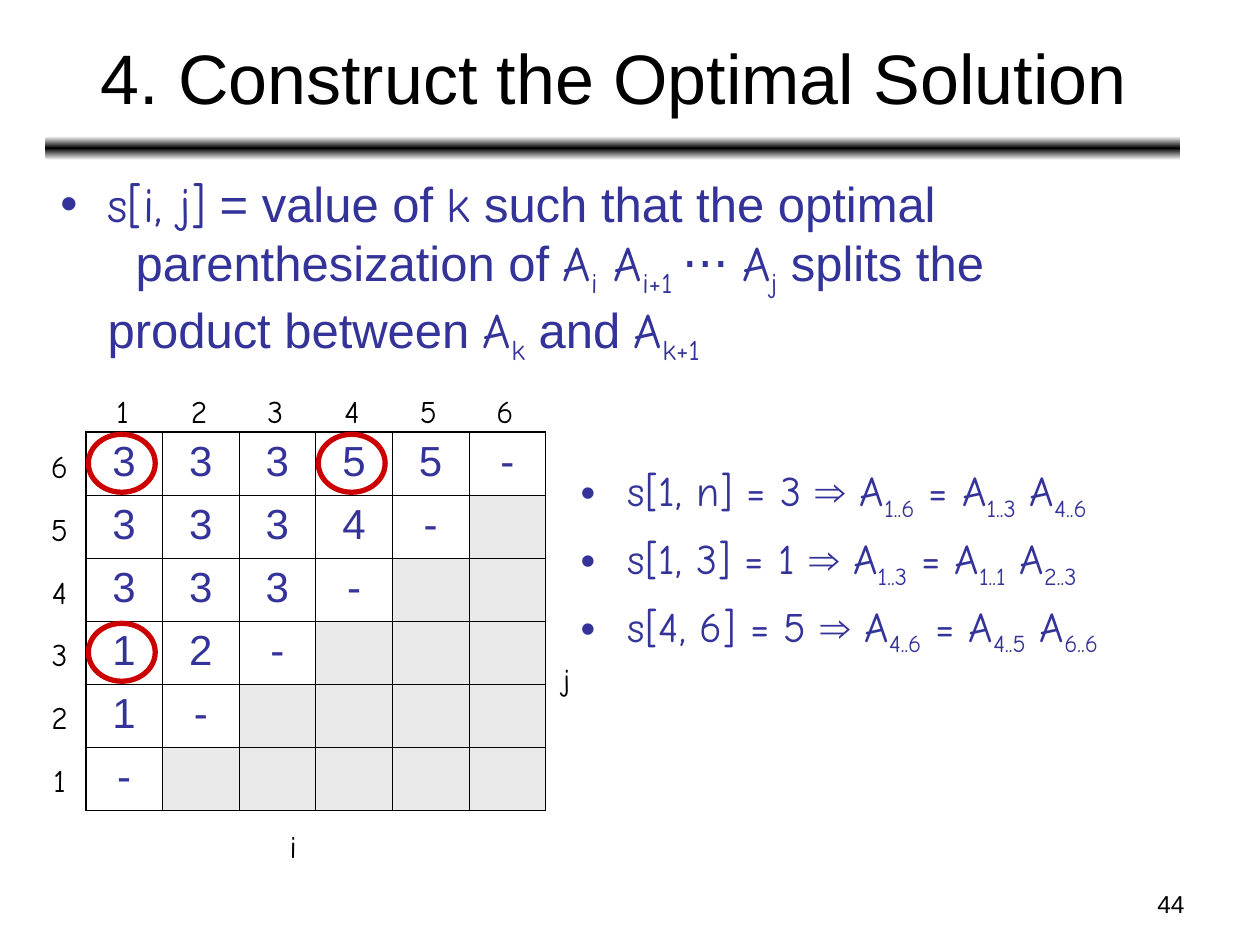
"""Build the slide on constructing the optimal matrix-chain solution."""
from copy import deepcopy

from lxml.etree import SubElement
from pptx import Presentation
from pptx.dml.color import RGBColor
from pptx.enum.shapes import MSO_SHAPE as SHAPE
from pptx.enum.text import MSO_ANCHOR as ANCHOR, PP_ALIGN as ALIGN
from pptx.oxml.ns import qn
from pptx.util import Pt

SANS, HAND = "Arial", "Comic Neue"
BLACK, BLUE, RED, GRAY = "000000", "333399", "CC0000", "EAEAEA"
SPLITS = ["3 3 3 5 5 -", "3 3 3 4 -", "3 3 3 -", "1 2 -", "1 -", "-"]
LEFT, TOP, COL, ROW = 49, 247, 43.8, 36


def rgb(color):
    """Turn a hex string into a colour."""
    return RGBColor.from_string(color)


def add_run(p, text, font=SANS, size=18, color=BLACK, sub=False):
    """Add a formatted run to a paragraph."""
    r = p.add_run()
    r.text = text
    r.font.name = font
    r.font.size = Pt(size)
    r.font.color.rgb = rgb(color)
    if sub:
        r.font._element.set("baseline", "-25000")


def add_box(s, x, y, w, h, wrap=True, anchor=ANCHOR.TOP):
    """Add an empty text box and return its text frame."""
    tf = s.shapes.add_textbox(Pt(x), Pt(y), Pt(w), Pt(h)).text_frame
    tf.word_wrap = wrap
    tf.vertical_anchor = anchor
    return tf


def add_label(s, text, x, y, w, h, align=ALIGN.CENTER, wrap=False, **fmt):
    """Add a text box with a single line of text."""
    p = add_box(s, x, y, w, h, wrap, ANCHOR.MIDDLE).paragraphs[0]
    p.alignment = align
    add_run(p, text, **fmt)


def set_bullet(p, tab=None):
    """Give a paragraph a hanging blue bullet and an optional tab stop."""
    pPr = p._p.get_or_add_pPr()
    pPr.set("marL", str(Pt(27)))
    pPr.set("indent", str(Pt(-27)))
    color = SubElement(pPr, qn("a:buClr"))
    SubElement(color, qn("a:srgbClr"), val=BLUE)
    SubElement(pPr, qn("a:buFont"), typeface=SANS)
    SubElement(pPr, qn("a:buChar"), char="•")
    if tab:
        tabs = SubElement(pPr, qn("a:tabLst"))
        SubElement(tabs, qn("a:tab"), pos=str(Pt(tab)), algn="l")


def add_matrix(p, index, size):
    """Add the matrix symbol A with its subscript."""
    add_run(p, "A", font=HAND, size=size, color=BLUE)
    add_run(p, index, font=HAND, size=size, color=BLUE, sub=True)


def add_definition(s):
    """Add the definition of s[i, j]."""
    p = add_box(s, 27.4, 95.8, 648, 118.8).paragraphs[0]
    set_bullet(p, tab=43)
    fmt = {"size": 28, "color": BLUE}
    add_run(p, "s[i, j]", font=HAND, **fmt)
    add_run(p, " = value of ", **fmt)
    add_run(p, "k", font=HAND, **fmt)
    add_run(p, " such that the optimal", **fmt)
    p.add_line_break()
    add_run(p, "\tparenthesization of ", **fmt)
    add_matrix(p, "i", 28)
    add_run(p, " ", font=HAND, **fmt)
    add_matrix(p, "i+1 ", 28)
    add_run(p, "⋅⋅⋅ ", **fmt)
    add_matrix(p, "j", 28)
    add_run(p, " splits the", **fmt)
    p.add_line_break()
    add_run(p, "product between ", **fmt)
    add_matrix(p, "k", 28)
    add_run(p, " and ", **fmt)
    add_matrix(p, "k+1", 28)


def add_steps(s):
    """Add the bulleted steps that trace the splits."""
    tf = add_box(s, 324.7, 262, 370.8, 170.6)
    steps = [("s[1, n] = 3 ", "1..6", "1..3", "4..6"),
             ("s[1, 3] = 1 ", "1..3", "1..1", "2..3"),
             ("s[4, 6] = 5 ", "4..6", "4..5", "6..6")]
    fmt = {"size": 24, "color": BLUE}
    for i, (split, whole, left, right) in enumerate(steps):
        p = tf.add_paragraph() if i else tf.paragraphs[0]
        set_bullet(p)
        if i:
            p.space_before = Pt(6)
        add_run(p, split, font=HAND, **fmt)
        add_run(p, "⇒", **fmt)
        for gap, index in ((" ", whole), (" = ", left), (" ", right)):
            add_run(p, gap, font=HAND, **fmt)
            add_matrix(p, index, 24)


def set_borders(cell, widths):
    """Draw black cell borders from a mapping of side to width."""
    tcPr = cell._tc.get_or_add_tcPr()
    for i, (side, width) in enumerate(widths.items()):
        ln = SubElement(tcPr, qn(f"a:ln{side}"), w=str(Pt(width)))
        fill = SubElement(ln, qn("a:solidFill"))
        SubElement(fill, qn("a:srgbClr"), val=BLACK)
        tcPr.remove(ln)
        tcPr.insert(i, ln)


def add_split_table(s):
    """Add the table of split positions."""
    n = len(SPLITS)
    table = s.shapes.add_table(n, n, Pt(LEFT), Pt(TOP), Pt(n * COL), Pt(n * ROW)).table
    table.first_row = table.horz_banding = False
    for i, line in enumerate(SPLITS):
        table.columns[i].width = Pt(COL)
        table.rows[i].height = Pt(ROW)
        values = line.split()
        for j in range(n):
            cell = table.cell(i, j)
            cell.fill.solid()
            cell.fill.fore_color.rgb = rgb("FFFFFF" if j < len(values) else GRAY)
            edges = {"L": j == 0, "R": j == n - 1, "T": i == 0, "B": i == n - 1}
            set_borders(cell, {k: 1.08 if outer else 0.45 for k, outer in edges.items()})
            if j < len(values):
                p = cell.text_frame.paragraphs[0]
                p.alignment = ALIGN.CENTER
                add_run(p, values[j], size=24, color=BLUE)


def add_axes(s):
    """Number the columns and rows and name the two indices."""
    for i in range(6):
        add_label(s, str(i + 1), 58 + 43.7 * i, 220.3, 24, 29, font=HAND)
        add_label(s, str(6 - i), 22, 252 + 35.8 * i, 24, 29, font=HAND)
    add_label(s, "i", 158.4, 468.7, 18, 29, font=HAND)
    add_label(s, "j", 314.6, 373.7, 18, 29, font=HAND)


def add_ring(s, row, col):
    """Circle one table cell in red."""
    x, y = LEFT + col * COL + 1.5, TOP + row * ROW + 1.2
    sp = s.shapes.add_shape(SHAPE.OVAL, Pt(x), Pt(y), Pt(38.2), Pt(33.1))
    sp.shadow.inherit = False
    sp.fill.background()
    sp.line.color.rgb = rgb(RED)
    sp.line.width = Pt(3)


def add_rule(s):
    """Add the shaded bar under the title."""
    sp = s.shapes.add_shape(SHAPE.ROUNDED_RECTANGLE, Pt(26), Pt(77.8), Pt(648.7), Pt(13.7))
    sp.shadow.inherit = False
    sp.line.fill.background()
    sp.fill.gradient()
    sp.fill.gradient_angle = 90
    stops = sp._element.spPr.find(qn("a:gradFill")).find(qn("a:gsLst"))
    stops.append(deepcopy(stops[0]))
    for stop, color, position in zip(sp.fill.gradient_stops, ("FFFFFF", BLACK, "FFFFFF"), (0, 0.5, 1)):
        stop.color.rgb = rgb(color)
        stop.position = position


def main():
    """Build and save the slide."""
    prs = Presentation()
    prs.slide_width, prs.slide_height = Pt(720), Pt(540)
    s = prs.slides.add_slide(prs.slide_layouts[6])
    add_rule(s)
    add_label(s, "44", 516.2, 504, 167.8, 25.2, align=ALIGN.RIGHT, wrap=True, size=14)
    add_label(s, "4. Construct the Optimal Solution", 26.6, 7.9, 648, 71.3, wrap=True, size=40)
    add_definition(s)
    add_split_table(s)
    add_axes(s)
    add_steps(s)
    for row, col in ((0, 0), (3, 0), (0, 3)):
        add_ring(s, row, col)
    prs.save("out.pptx")


if __name__ == "__main__":
    main()
